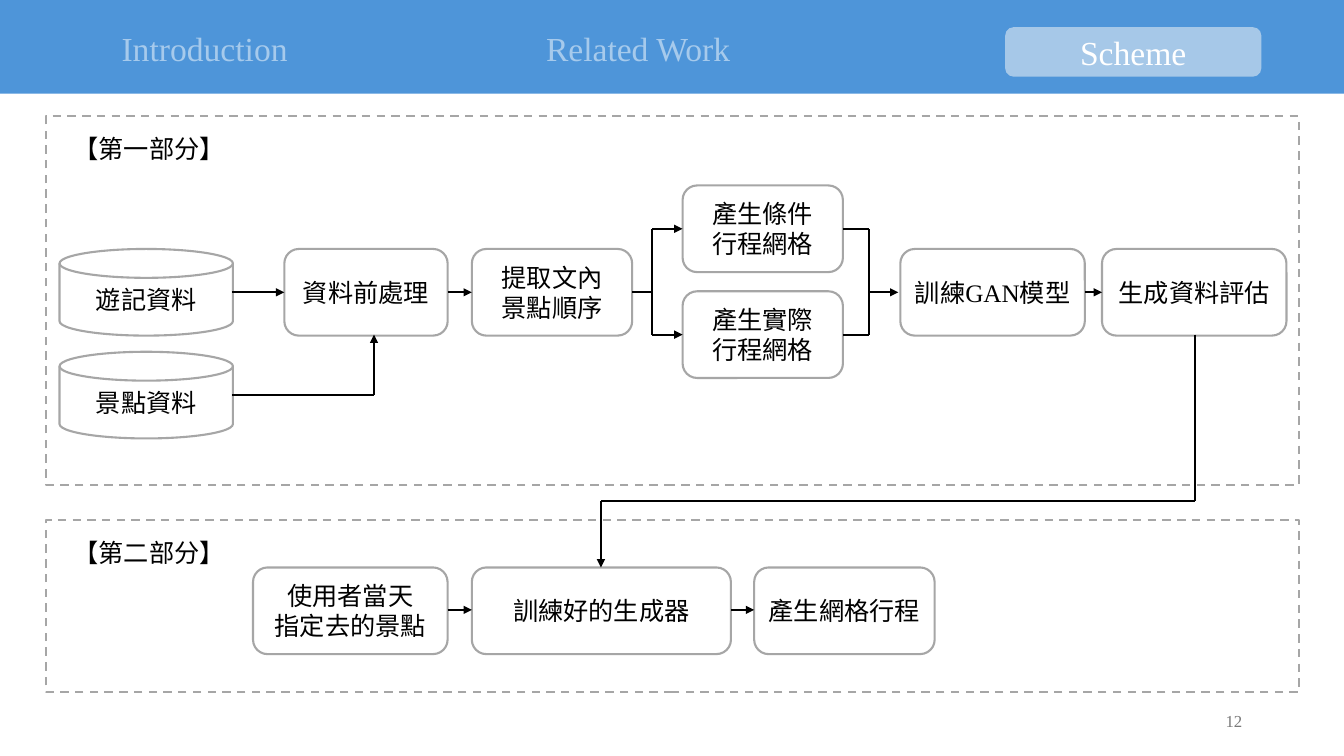
from dataclasses import dataclass

from lxml.etree import SubElement
from pptx import Presentation
from pptx.dml.color import RGBColor
from pptx.enum.dml import MSO_LINE
from pptx.enum.shapes import MSO_CONNECTOR, MSO_SHAPE as Shape
from pptx.enum.text import MSO_ANCHOR as Anchor, MSO_AUTO_SIZE, PP_ALIGN as Align
from pptx.oxml.ns import qn
from pptx.util import Inches, Pt


@dataclass(frozen=True)
class Theme:
    font: str = "Times New Roman"
    nav_size: int = 24
    body_size: int = 18
    number_size: int = 12
    line_width: float = 1.5
    bar: str = "4E95D9"
    highlight: str = "F6F6F6"
    highlight_opacity: int = 53
    active: str = "FFFFFF"
    inactive: str = "A6CAEC"
    outline: str = "A6A6A6"
    ink: str = "000000"
    number: str = "797979"


class FlowSlide:
    def __init__(self, slide, theme):
        self.slide = slide
        self.theme = theme

    def set_text(self, shape, text, size, color, align, anchor=Anchor.TOP, wrap=True):
        frame = shape.text_frame
        frame.text = text
        frame.word_wrap = wrap
        frame.auto_size = MSO_AUTO_SIZE.NONE
        frame.vertical_anchor = anchor
        for paragraph in frame.paragraphs:
            paragraph.alignment = align
            for run in paragraph.runs:
                run.font.name = self.theme.font
                run.font.size = Pt(size)
                run.font.color.rgb = RGBColor.from_string(color)

    def shape(self, kind, left, top, width, height):
        shape = self.slide.shapes.add_shape(
            kind, Inches(left), Inches(top), Inches(width), Inches(height))
        shape.shadow.inherit = False
        return shape

    def filled(self, kind, box, color, opacity=100):
        shape = self.shape(kind, *box)
        shape.fill.solid()
        shape.fill.fore_color.rgb = RGBColor.from_string(color)
        shape.line.fill.background()
        if opacity < 100:
            rgb = shape._element.spPr.find(qn("a:solidFill"))[0]
            SubElement(rgb, qn("a:alpha")).set("val", str(opacity * 1000))

    def outlined(self, kind, box, text="", dash=None):
        shape = self.shape(kind, *box)
        shape.fill.background()
        shape.line.color.rgb = RGBColor.from_string(self.theme.outline)
        shape.line.width = Pt(self.theme.line_width)
        if dash:
            shape.line.dash_style = dash
        if text:
            self.set_text(shape, text, self.theme.body_size, self.theme.ink,
                          Align.CENTER, Anchor.MIDDLE)

    def label(self, box, text, size, color, align, **layout):
        textbox = self.slide.shapes.add_textbox(*map(Inches, box))
        self.set_text(textbox, text, size, color, align, **layout)

    def title(self, box, text):
        title = self.slide.shapes.title
        title.left, title.top, title.width, title.height = map(Inches, box)
        self.set_text(title, text, self.theme.nav_size, self.theme.active, Align.CENTER)
        # Bring the title in front of the bar
        self.slide.shapes._spTree.append(title._element)

    def route(self, *points, arrow=True):
        """Draw straight segments through the points, with an arrow at the end."""
        for start, end in zip(points, points[1:]):
            segment = self.slide.shapes.add_connector(
                MSO_CONNECTOR.STRAIGHT, *map(Inches, start + end))
            segment.line.color.rgb = RGBColor.from_string(self.theme.ink)
            segment.line.width = Pt(self.theme.line_width)
            properties = segment._element.spPr
            if arrow and end == points[-1]:
                SubElement(properties.find(qn("a:ln")),
                           qn("a:tailEnd")).set("type", "triangle")
            SubElement(properties, qn("a:effectLst"))


def main():
    theme = Theme()
    deck = Presentation()
    deck.slide_width, deck.slide_height = Inches(13.33), Inches(7.5)
    flow = FlowSlide(deck.slides.add_slide(deck.slide_layouts[5]), theme)

    # Navigation bar
    flow.filled(Shape.RECTANGLE, (0, 0, 13.33, 0.93), theme.bar)
    flow.filled(Shape.ROUNDED_RECTANGLE, (9.97, 0.27, 2.54, 0.49),
                theme.highlight, theme.highlight_opacity)
    flow.title((9.86, 0.27, 2.76, 0.5), "Scheme")
    for left, section in ((4.95, "Related Work"), (0.65, "Introduction")):
        flow.label((left, 0.23, 2.76, 0.5), section, theme.nav_size,
                   theme.inactive, Align.CENTER)

    # Slide number
    flow.label((9.42, 6.95, 3, 0.4), "12", theme.number_size, theme.number,
               Align.RIGHT, anchor=Anchor.MIDDLE)

    # Dashed frames of the two parts
    for top, height, part in ((1.15, 3.66, "【第一部分】"), (5.16, 1.71, "【第二部分】")):
        flow.outlined(Shape.RECTANGLE, (0.46, top, 12.42, height), dash=MSO_LINE.DASH)
        flow.label((0.63, top + 0.12, 1.72, 0.4), part, theme.body_size,
                   theme.ink, Align.LEFT, wrap=False)

    # Data sources and process steps
    step_height = 0.86
    main_top, upper_top, lower_top, part_two_top = 2.47, 1.84, 2.89, 5.63
    for top, source in ((3.49, "景點資料"), (main_top, "遊記資料")):
        flow.outlined(Shape.FLOWCHART_MAGNETIC_DISK,
                      (0.59, top, 1.72, step_height), source)
    steps = (
        (2.82, main_top, 1.62, "資料前處理"),
        (4.68, main_top, 1.59, "提取文內\n景點順序"),
        (6.77, upper_top, 1.59, "產生條件\n行程網格"),
        (6.77, lower_top, 1.59, "產生實際\n行程網格"),
        (8.93, main_top, 1.83, "訓練GAN模型"),
        (10.93, main_top, 1.83, "生成資料評估"),
        (2.51, part_two_top, 1.93, "使用者當天\n指定去的景點"),
        (4.68, part_two_top, 2.57, "訓練好的生成器"),
        (7.48, part_two_top, 1.79, "產生網格行程"),
    )
    for left, top, width, step in steps:
        flow.outlined(Shape.ROUNDED_RECTANGLE, (left, top, width, step_height), step)

    # Straight arrows between neighbouring steps
    main_y, upper_y, lower_y, part_two_y = 2.9, 2.27, 3.32, 6.05
    for start, end, y in ((2.3, 2.82, main_y), (4.44, 4.68, main_y),
                          (8.62, 8.91, main_y), (10.76, 10.93, main_y),
                          (4.44, 4.68, part_two_y), (7.25, 7.48, part_two_y)):
        flow.route((start, y), (end, y))

    # Attraction data into preprocessing
    flow.route((2.3, 3.92), (3.71, 3.92), (3.71, 3.32))

    # Split into the two grids and merge again
    split_x, merge_x = 6.47, 8.62
    flow.route((6.27, main_y), (split_x, main_y), arrow=False)
    for x in (split_x, merge_x):
        flow.route((x, upper_y), (x, lower_y), arrow=False)
    for y in (upper_y, lower_y):
        flow.route((split_x, y), (6.77, y))
        flow.route((8.36, y), (merge_x, y), arrow=False)

    # Evaluated model handed to part two
    flow.route((11.85, 3.32), (11.85, 4.97), (5.96, 4.97), (5.96, part_two_top))

    deck.save("out.pptx")


if __name__ == "__main__":
    main()
